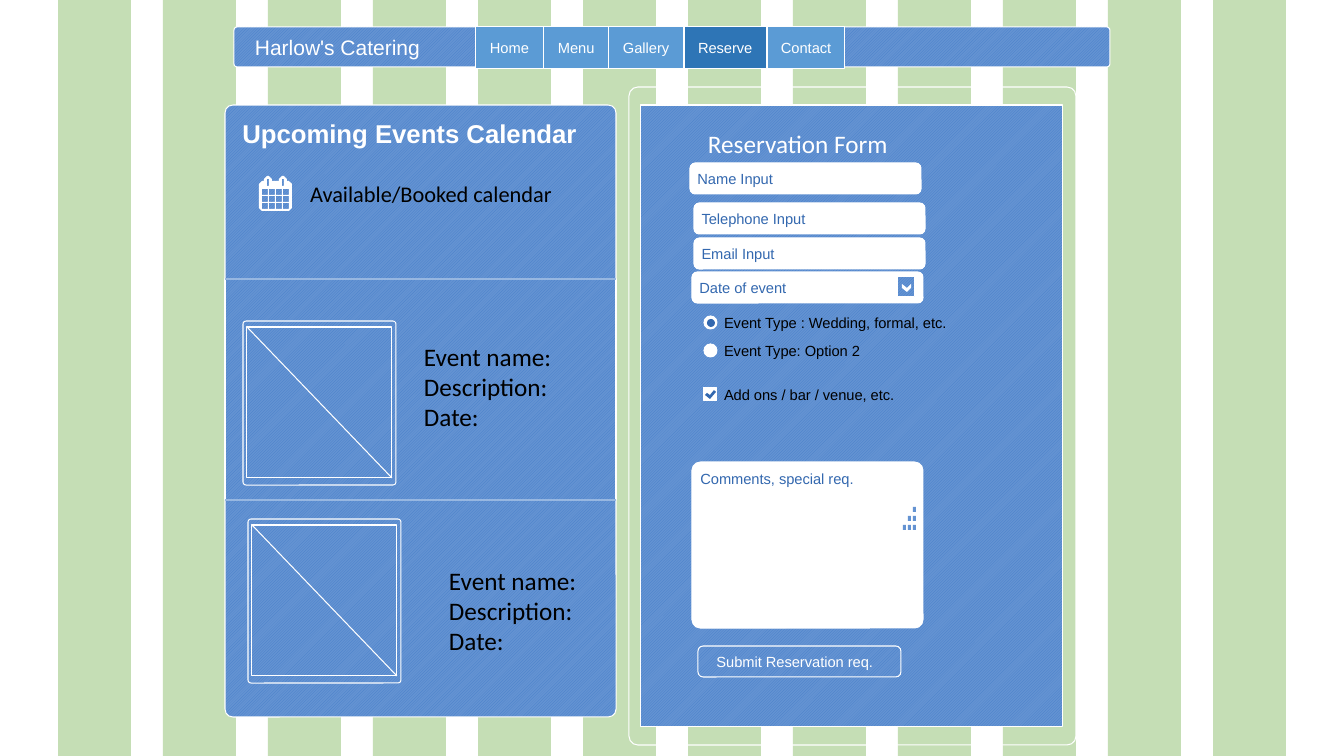
from typing import NamedTuple

from pptx import Presentation
from pptx.dml.color import RGBColor
from pptx.enum.dml import MSO_PATTERN
from pptx.enum.shapes import MSO_AUTO_SHAPE_TYPE as Preset, MSO_CONNECTOR
from pptx.enum.text import MSO_ANCHOR as Anchor, PP_ALIGN
from pptx.oxml.ns import qn
from pptx.oxml.xmlchemy import OxmlElement
from pptx.util import Pt

SCALE = 914400 / 100.8
COLORS = {
    "white": "FFFFFF", "black": "000000", "stripe": "70AD47",
    "hatch": "437CC9", "panel": "6493D2", "ink": "3368AF",
    "tab": "5B9BD5", "active": "2E75B6", "divider": "97B7E1",
}


class Box(NamedTuple):
    left: int
    top: int
    width: int
    height: int


class Tab(NamedTuple):
    label: str
    width: int
    color: str = "tab"


class Field(NamedTuple):
    label: str
    left: int
    top: int


class Choice(NamedTuple):
    label: str
    top: int
    preset: Preset
    width: int


class Event(NamedTuple):
    frame_left: int
    frame_top: int
    text_left: int
    text_top: int


def emu(pixels: float) -> int:
    return round(pixels * SCALE)


def rgb(name: str) -> RGBColor:
    return RGBColor.from_string(COLORS[name])


def paint(shape, fill: str | None, line: str | None) -> None:
    """Fill a shape; the name "hatch" gives the diagonal pattern."""
    shape.shadow.inherit = False
    if fill is None:
        shape.fill.background()
    elif fill == "hatch":
        shape.fill.patterned()
        shape.fill.pattern = MSO_PATTERN.LIGHT_UPWARD_DIAGONAL
        shape.fill.fore_color.rgb = rgb("hatch")
        shape.fill.back_color.rgb = rgb("panel")
    else:
        shape.fill.solid()
        shape.fill.fore_color.rgb = rgb(fill)
    if line is None:
        shape.line.fill.background()
    else:
        shape.line.color.rgb = rgb(line)
        shape.line.width = Pt(0.75)


def add_box(box: Box, fill: str | None = None, line: str | None = "white",
            preset: Preset = Preset.RECTANGLE, corner: float | None = None):
    shape = page.shapes.add_shape(preset, *map(emu, box))
    if corner is not None:
        shape.adjustments[0] = corner
    paint(shape, fill, line)
    return shape


def write(shape, text: str, *, size: float = 10.5, font: str = "Arial",
          color: str = "white", bold: bool = False, wrap: bool = True,
          inset: tuple[int, int] = (10, 5), anchor: Anchor = Anchor.TOP) -> None:
    frame = shape.text_frame
    frame.word_wrap = wrap
    frame.vertical_anchor = anchor
    frame.margin_left = frame.margin_right = emu(inset[0])
    frame.margin_top = frame.margin_bottom = emu(inset[1])
    for index, line in enumerate(text.split("\n")):
        para = frame.add_paragraph() if index else frame.paragraphs[0]
        para.alignment = PP_ALIGN.LEFT
        span = para.add_run()
        span.text = line
        span.font.size, span.font.name, span.font.bold = Pt(size), font, bold
        span.font.color.rgb = rgb(color)


def add_label(box: Box, text: str, **style) -> None:
    write(page.shapes.add_textbox(*map(emu, box)), text, **style)


def add_line(start: tuple[int, int], end: tuple[int, int], color: str) -> None:
    line = page.shapes.add_connector(MSO_CONNECTOR.STRAIGHT, *map(emu, start + end))
    line.line.color.rgb = rgb(color)
    line.line.width = Pt(0.75)
    line.element.spPr.append(OxmlElement("a:effectLst"))


def add_outline(contours: list[list[tuple[int, int]]], fill: str) -> None:
    builder = page.shapes.build_freeform(*contours[0][0], scale=SCALE)
    for index, points in enumerate(contours):
        if index:
            builder.move_to(*points[0])
        builder.add_line_segments(points[1:], close=True)
    paint(builder.convert_to_shape(), fill, None)


def corners(left: int, top: int, width: int, height: int) -> list[tuple[int, int]]:
    right, bottom = left + width, top + height
    return [(left, top), (left, bottom), (right, bottom), (right, top)]


deck = Presentation()
deck.slide_width, deck.slide_height = emu(1344), emu(756)
page = deck.slides.add_slide(deck.slide_layouts[6])
ROUND = Preset.ROUNDED_RECTANGLE

# Striped background
for number in range(12):
    stripe = add_box(Box(58 + 105 * number, 0, 73, 756), "stripe", None)
    alpha = OxmlElement("a:alpha")
    alpha.set("val", "40000")
    stripe.element.spPr.find(".//" + qn("a:srgbClr")).append(alpha)

# Header and navigation tabs
header = add_box(Box(234, 27, 876, 40), "hatch", preset=ROUND, corner=0.08)
write(header, "Harlow's Catering", size=15, inset=(20, 5), anchor=Anchor.MIDDLE)
tab_left = 476
for tab in (Tab("Home", 68), Tab("Menu", 65), Tab("Gallery", 75),
            Tab("Reserve", 83, "active"), Tab("Contact", 78)):
    button = add_box(Box(tab_left, 27, tab.width, 42), tab.color)
    write(button, tab.label, wrap=False, inset=(14, 12), anchor=Anchor.MIDDLE)
    tab_left += tab.width

# Reservation form
add_box(Box(629, 87, 447, 658), preset=ROUND, corner=0.02)
add_box(Box(641, 105, 422, 622), "hatch")
add_label(Box(698, 123, 313, 40), "Reservation Form", size=18, font="Calibri")
for field in (Field("Name Input", 690, 163), Field("Telephone Input", 694, 203),
              Field("Email Input", 694, 238), Field("Date of event", 692, 272)):
    entry = add_box(Box(field.left, field.top, 231, 31), "white", preset=ROUND)
    write(entry, field.label, color="ink", inset=(6, 5), anchor=Anchor.MIDDLE)

# Drop-down arrow of the date field
add_box(Box(898, 277, 17, 20), "hatch")
add_outline([[(911, 284), (907, 288), (902, 284), (902, 288), (907, 292),
              (911, 288)]], "white")

# Event type and add-on choices
for choice in (
    Choice("Event Type : Wedding, formal, etc.", 316, Preset.OVAL, 236),
    Choice("Event Type: Option 2", 344, Preset.OVAL, 148),
    Choice("Add ons / bar / venue, etc.", 388, Preset.RECTANGLE, 181),
):
    add_box(Box(704, choice.top, 13, 13), "white", preset=choice.preset)
    add_label(Box(719, choice.top - 7, choice.width, 28), choice.label,
              color="black", wrap=False, inset=(5, 5))
add_box(Box(707, 319, 8, 8), "ink", None, Preset.OVAL)
add_outline([[(714, 390), (710, 395), (707, 393), (705, 395), (710, 399),
              (716, 392)]], "ink")

# Comment area with resize grip, and submit button
comments = add_box(Box(692, 462, 231, 166), "white", preset=ROUND, corner=0.05)
write(comments, "Comments, special req.", color="ink", inset=(6, 5))
add_outline([corners(913 - 5 * step, 507 + 9 * row, 3, 5)
             for row in range(3) for step in range(row + 1)], "panel")
submit = add_box(Box(698, 646, 203, 31), "hatch", preset=ROUND)
write(submit, "Submit Reservation req.", wrap=False, inset=(17, 5),
      anchor=Anchor.MIDDLE)

# Events panel with dividers
panel = add_box(Box(225, 105, 391, 612), "hatch", preset=ROUND, corner=0.02)
write(panel, "Upcoming Events Calendar", size=18.4, bold=True, inset=(15, 10))
add_box(Box(225, 279, 391, 221))
for divider_top in (279, 500):
    add_line((225, divider_top), (616, divider_top), "divider")

# Calendar icon
calendar = [(259, 184), (262, 181)]
for ring in (264, 279):
    calendar += [(ring, 181), (ring, 179), (ring + 3, 176), (ring + 5, 176),
                 (ring + 8, 179), (ring + 8, 181)]
calendar += [(289, 181), (292, 184), (292, 208), (289, 211), (262, 211), (259, 208)]
days = [corners(262 + 7 * column, 189 + 7 * row, 6, 6)
        for row in range(3) for column in range(4)]
slots = [corners(slot, 179, 2, 7) for slot in (267, 282)]
add_outline([calendar, *days, *slots], "white")
add_label(Box(300, 175, 281, 37), "Available/Booked calendar", size=16,
          font="Calibri", color="black")

# Event entries with image frames
for event in (Event(243, 321, 414, 336), Event(248, 519, 439, 560)):
    left, top = event.frame_left + 4, event.frame_top + 6
    add_box(Box(event.frame_left, event.frame_top, 153, 164), preset=ROUND, corner=0.02)
    add_box(Box(left, top, 145, 151), "hatch")
    add_line((left, top), (left + 145, top + 151), "white")
    add_label(Box(event.text_left, event.text_top, 159, 102),
              "Event name:\nDescription:\nDate:", size=18, font="Calibri", color="black")

deck.save("out.pptx")
